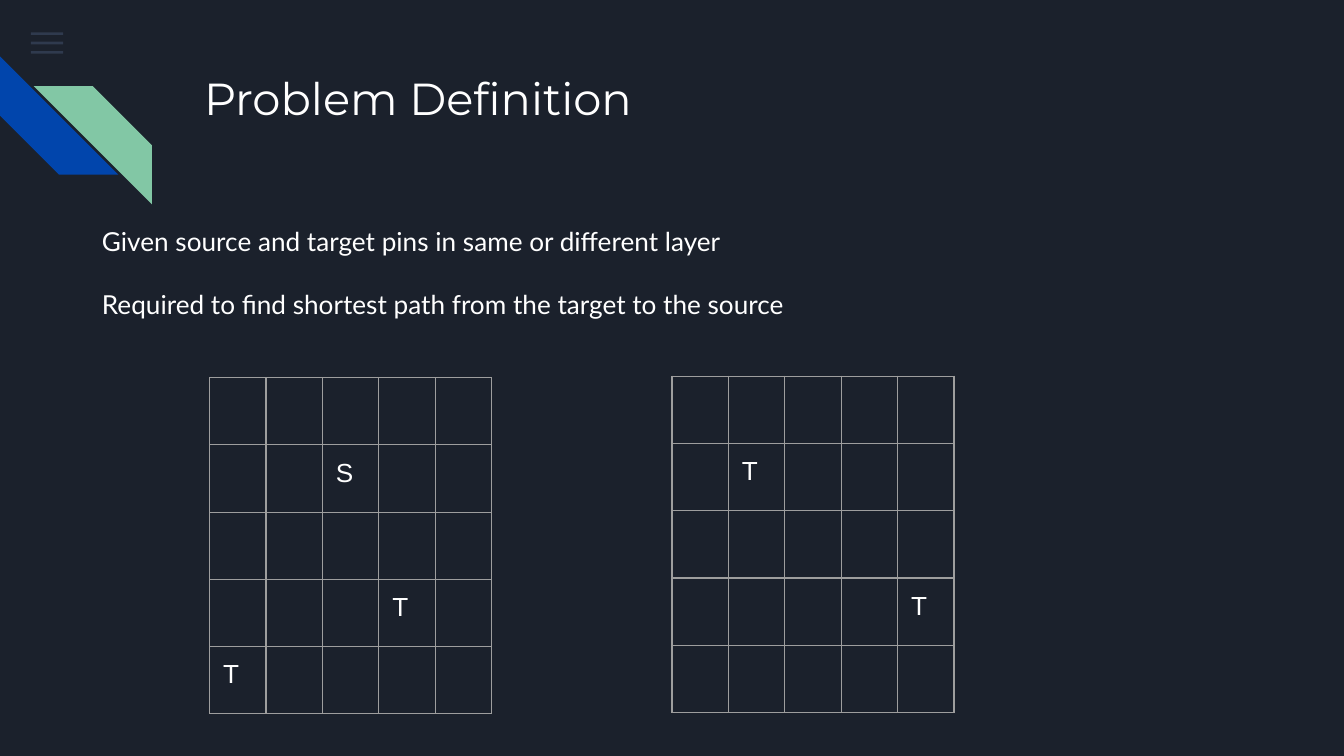
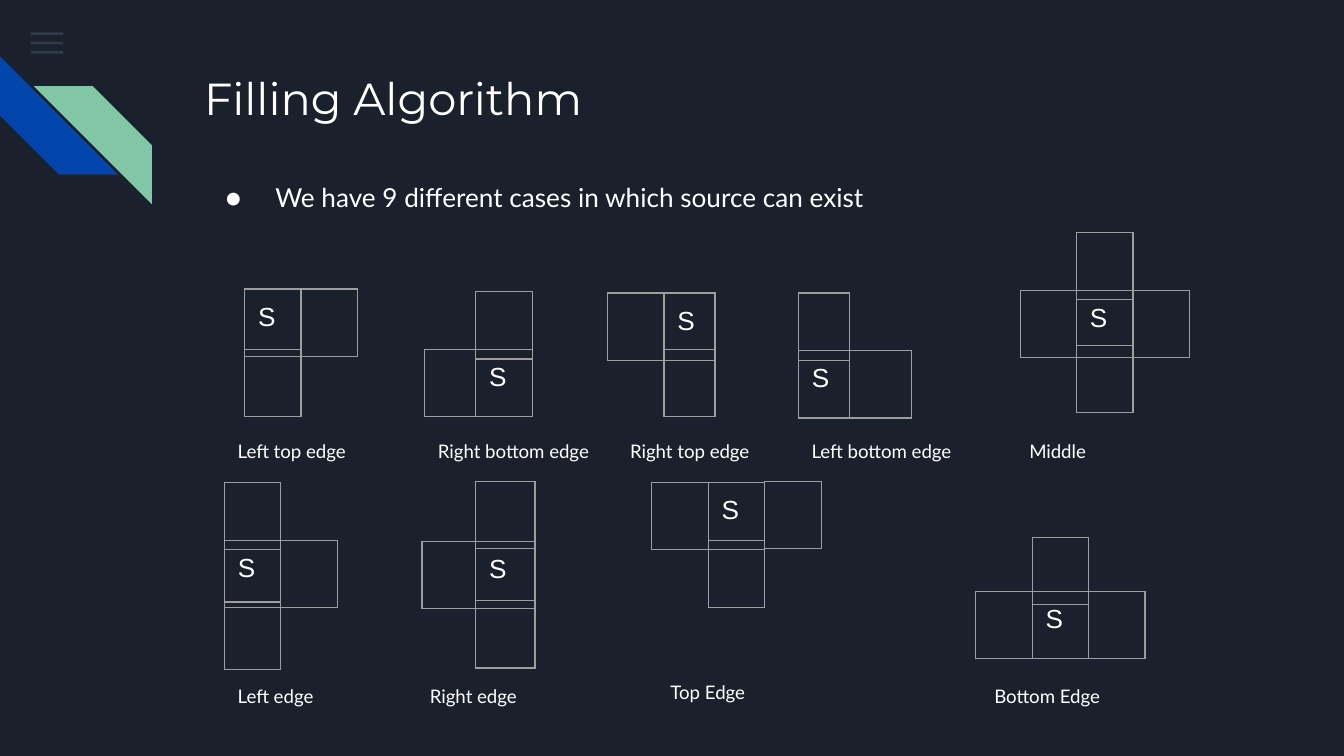
"""Builds two slides on grid routing: the problem definition and the filling algorithm cases."""
import pptx
import pptx.dml.color
import pptx.enum.shapes
import pptx.oxml.ns
import pptx.util
from lxml import etree

Inches = pptx.util.Inches
Pt = pptx.util.Pt
qn = pptx.oxml.ns.qn
SHAPES = pptx.enum.shapes.MSO_SHAPE

COLORS = {
    "background": "1B212C",
    "menu": "55688B",
    "blue": "0145AC",
    "green": "82C7A5",
    "text": "FFFFFF",
    "grid": "9E9E9E",
}
FONTS = {
    "title": {"name": "Montserrat", "size": Pt(24)},
    "body": {"name": "Lato", "size": Pt(14)},
    "label": {"name": "Lato", "size": Pt(10)},
    "mark": {"name": "Arial", "size": Pt(14)},
}
MARGINS = {
    "margin_left": Inches(0.1),
    "margin_top": Inches(0.1),
    "margin_right": Inches(0.1),
    "margin_bottom": Inches(0.1),
}
PLAIN_TABLE = {"first_row": False, "horz_banding": False}
PAGE_SIZE = {"slide_width": Inches(10), "slide_height": Inches(10) * 9 // 16}
CELL = 0.42

PROBLEM = [
    "Given source and target pins in same or different layer",
    "Required to find shortest path from the target to the source",
]
LAYERS = [
    (1.56, 2.81, ["     ", "  S  ", "     ", "   T ", "T    "]),
    (5, 2.8, ["     ", " T   ", "     ", "    T", "     "]),
]
CASES_INTRO = "We have 9 different cases in which source can exist"

# label, (left, top, width), strips of (left, top, marks, column widths)
CASES = [
    ("Left top edge", (1.67, 3.19, 1.32),
     [(1.82, 2.15, "S ", (0.42, 0.42)), (1.82, 2.6, " ", (0.42,))]),
    ("Right bottom edge", (3.16, 3.19, 3.09),
     [(3.16, 2.6, " S", (0.38, 0.42)), (3.54, 2.17, " ", (0.42,))]),
    ("Right top edge", (4.59, 3.19, 1.5),
     [(4.52, 2.18, " S", (0.42, 0.38)), (4.94, 2.6, " ", (0.38,))]),
    ("Left bottom edge", (5.94, 3.19, 1.32),
     [(5.94, 2.61, "S ", (0.38, 0.46)), (5.94, 2.18, " ", (0.38,))]),
    ("Middle", (7.56, 3.19, 1.32),
     [(7.59, 2.16, " S ", (0.42, 0.42, 0.42)), (8.01, 2.57, " ", (0.42,)),
      (8.01, 1.73, " ", (0.42,))]),
    ("Left edge", (1.67, 5.01, 1.32),
     [(1.67, 4.02, "S ", (0.42, 0.42)), (1.67, 3.59, " ", (0.42,)),
      (1.67, 4.48, " ", (0.42,))]),
    ("Right edge", (3.1, 5.01, 1.32),
     [(3.14, 4.03, " S", (0.4, 0.44)), (3.54, 3.58, " ", (0.44,)),
      (3.54, 4.47, " ", (0.44,))]),
    ("Top Edge", (4.89, 4.98, 1.18),
     [(4.85, 3.59, " S", (0.42, 0.42)), (5.69, 3.58, " ", (0.42,)),
      (5.27, 4.02, " ", (0.42,))]),
    ("Bottom Edge", (7.3, 5.01, 1.18),
     [(7.26, 4.4, " S", (0.42, 0.42)), (8.1, 4.4, " ", (0.42,)),
      (7.68, 4, " ", (0.42,))]),
]


def rgb(color):
    return pptx.dml.color.RGBColor.from_string(COLORS[color])


def apply(target, values):
    for name, value in values.items():
        setattr(target, name, value)


def write(para, text, font):
    span = para.add_run()
    span.text = text
    apply(span.font, FONTS[font])
    span.font.color.rgb = rgb("text")


def add_text(page, place, lines, font, gap=0, bullet=False):
    box = page.shapes.add_textbox(*map(Inches, place))
    frame = box.text_frame
    frame.word_wrap = True
    apply(frame, MARGINS)
    for index, line in enumerate(lines):
        para = frame.add_paragraph() if index else frame.paragraphs[0]
        if index:
            para.space_before = Pt(gap)
        if bullet:
            add_bullet(para)
        write(para, line, font)


def add_bullet(para):
    props = para._p.get_or_add_pPr()
    props.set("marL", str(Inches(0.5)))
    props.set("indent", str(Inches(-0.37)))
    tint = etree.SubElement(props, qn("a:buClr"))
    etree.SubElement(tint, qn("a:srgbClr"), val=COLORS["text"])
    etree.SubElement(props, qn("a:buSzPts"), val="1400")
    etree.SubElement(props, qn("a:buFont"), typeface="Lato")
    etree.SubElement(props, qn("a:buChar"), char="●")


def add_block(shapes, kind, place, color):
    block = shapes.add_shape(kind, *map(Inches, place))
    block.shadow.inherit = False
    block.fill.solid()
    block.fill.fore_color.rgb = rgb(color)
    block.line.fill.background()
    return block


def add_grid(page, left, top, rows, widths):
    place = (left, top, sum(widths), CELL * len(rows))
    table = page.shapes.add_table(len(rows), len(widths), *map(Inches, place)).table
    apply(table, PLAIN_TABLE)
    for column, width in zip(table.columns, widths):
        column.width = Inches(width)
    for row, marks in zip(table.rows, rows):
        row.height = Inches(CELL)
        for cell, mark in zip(row.cells, marks):
            format_cell(cell, mark.strip())


def format_cell(cell, mark):
    apply(cell, MARGINS)
    props = cell._tc.get_or_add_tcPr()
    for side in ("a:lnL", "a:lnR", "a:lnT", "a:lnB"):
        line = etree.SubElement(props, qn(side), w=str(Pt(0.75)))
        fill = etree.SubElement(line, qn("a:solidFill"))
        etree.SubElement(fill, qn("a:srgbClr"), val=COLORS["grid"])
    cell.fill.background()
    para = cell.text_frame.paragraphs[0]
    if mark:
        write(para, mark, "mark")
    else:
        end = etree.SubElement(para._p, qn("a:endParaRPr"), sz="1800")
        etree.SubElement(end, qn("a:latin"), typeface="Lato")


def add_page(deck, title):
    page = deck.slides.add_slide(deck.slide_layouts[6])
    for index in range(3):
        place = (0.23, 0.24 + 0.07 * index, 0.24, 0.02)
        bar = add_block(page.shapes, SHAPES.RECTANGLE, place, "menu")
        color = bar._element.spPr.find(".//" + qn("a:srgbClr"))
        etree.SubElement(color, qn("a:alpha"), val="36000")
    stripes = page.shapes.add_group_shape().shapes
    blue = add_block(stripes, SHAPES.DIAGONAL_STRIPE, (0, 0.42, 0.88, 0.88), "blue")
    blue.rotation = 270
    green = add_block(stripes, SHAPES.DIAGONAL_STRIPE, (0.25, 0.64, 0.88, 0.88), "green")
    green._element.spPr.find(qn("a:xfrm")).set("flipH", "1")
    add_text(page, (1.42, 0.43, 7.7, 1), [title], "title")
    return page


def main():
    deck = pptx.Presentation()
    apply(deck, PAGE_SIZE)
    backdrop = deck.slide_master.background.fill
    backdrop.solid()
    backdrop.fore_color.rgb = rgb("background")

    page = add_page(deck, "Problem Definition")
    add_text(page, (0.66, 1.58, 8.91, 3.74), PROBLEM, "body", gap=17)
    for left, top, rows in LAYERS:
        add_grid(page, left, top, rows, [CELL] * 5)

    page = add_page(deck, "Filling Algorithm")
    add_text(page, (1.45, 1.25, 8.05, 4.02), [CASES_INTRO], "body", bullet=True)
    for label, place, strips in CASES:
        for left, top, marks, widths in strips:
            add_grid(page, left, top, [marks], widths)
        add_text(page, (*place, 0.37), [label], "label")

    deck.save("out.pptx")


if __name__ == "__main__":
    main()
